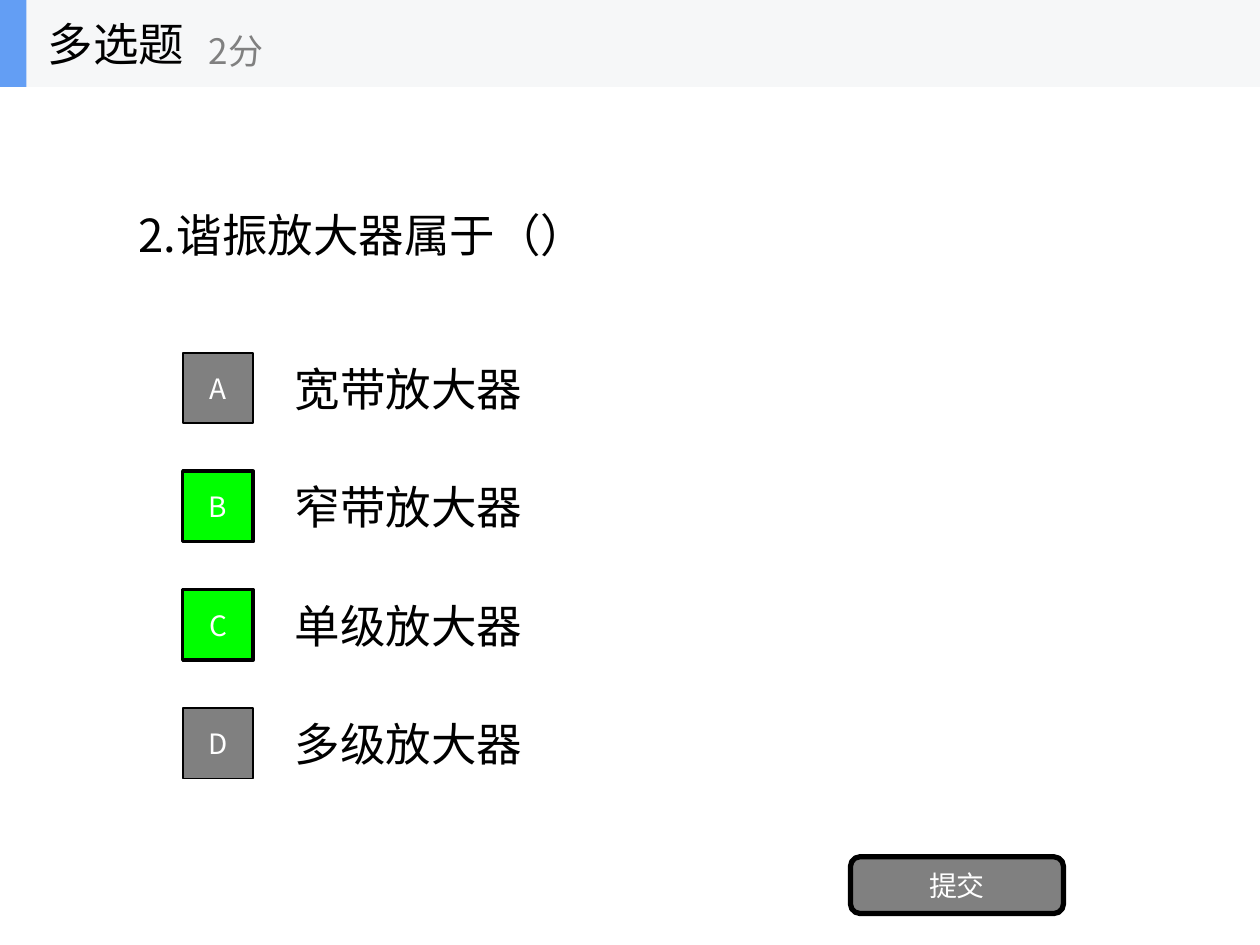
from lxml.etree import SubElement
from pptx import Presentation
from pptx.dml.color import RGBColor
from pptx.enum.shapes import MSO_SHAPE
from pptx.enum.text import MSO_ANCHOR, MSO_AUTO_SIZE, PP_ALIGN
from pptx.oxml.ns import qn
from pptx.util import Inches, Pt

THEME = {
    "font": "Noto Sans CJK SC",
    "black": RGBColor.from_string("000000"),
    "white": RGBColor.from_string("FFFFFF"),
    "gray": RGBColor.from_string("808080"),
    "correct": RGBColor.from_string("00FF00"),
    "bar": RGBColor.from_string("F6F7F8"),
    "accent": RGBColor.from_string("639EF4"),
    "body": Pt(26),
    "score": Pt(20),
    "button": Pt(16),
}


def write(shape, text, size, color, alignment=PP_ALIGN.LEFT):
    """Put one vertically centred line of text in a shape."""
    frame = shape.text_frame
    frame.word_wrap = True
    frame.auto_size = MSO_AUTO_SIZE.NONE
    frame.vertical_anchor = MSO_ANCHOR.MIDDLE
    paragraph = frame.paragraphs[0]
    paragraph.alignment = alignment
    run = paragraph.add_run()
    run.text = text
    run.font.size = THEME[size]
    run.font.color.rgb = THEME[color]
    run.font.name = THEME["font"]
    SubElement(run.font._element, qn("a:ea"), typeface=THEME["font"])


def add_block(shapes, kind, box, fill, line_width=0):
    """Add a filled shape, outlined in black if a line width is given."""
    shape = shapes.add_shape(kind, *map(Inches, box))
    shape.shadow.inherit = False
    shape.fill.solid()
    shape.fill.fore_color.rgb = THEME[fill]
    if line_width:
        shape.line.color.rgb = THEME["black"]
        shape.line.width = Pt(line_width)
    else:
        shape.line.fill.background()
    return shape


WIDTH, HEIGHT = 10, 7.5
presentation = Presentation()
presentation.slide_width, presentation.slide_height = Inches(WIDTH), Inches(HEIGHT)
slide = presentation.slides.add_slide(presentation.slide_layouts[5])

# Question
HEADER_HEIGHT = 0.69
question = slide.shapes.title
question.left, question.top = Inches(WIDTH * 0.1), Inches(HEADER_HEIGHT)
question.width, question.height = Inches(WIDTH * 0.8), Inches(2.34)
write(question, "2.谐振放大器属于（）", "body", "black")

# Answer options: a letter button and its text on each row
OPTIONS = [
    ("A", "宽带放大器", False),
    ("B", "窄带放大器", True),
    ("C", "单级放大器", True),
    ("D", "多级放大器", False),
]
FIRST_ROW, ROW_PITCH, ROW_HEIGHT = 2.73, 0.94, 0.7
BUTTON_LEFT, BUTTON_SIZE, LABEL_LEFT = 1.45, 0.56, 2.24
for row, (letter, answer, correct) in enumerate(OPTIONS):
    top = FIRST_ROW + row * ROW_PITCH
    label = slide.shapes.add_textbox(
        Inches(LABEL_LEFT), Inches(top), Inches(WIDTH * 0.7), Inches(ROW_HEIGHT)
    )
    write(label, answer, "body", "black")
    button_top = top + (ROW_HEIGHT - BUTTON_SIZE) / 2
    button = add_block(
        slide.shapes,
        MSO_SHAPE.RECTANGLE,
        (BUTTON_LEFT, button_top, BUTTON_SIZE, BUTTON_SIZE),
        "correct" if correct else "gray",
        2 if correct else 1,
    )
    write(button, letter, "button", "white", PP_ALIGN.CENTER)

# Submit button
submit = add_block(
    slide.shapes, MSO_SHAPE.ROUNDED_RECTANGLE, (6.75, 6.8, 1.69, 0.45), "gray", 3
)
write(submit, "提交", "button", "white", PP_ALIGN.CENTER)

# Header: bar, accent, question type and score
header = slide.shapes.add_group_shape().shapes
for width, fill in ((WIDTH, "bar"), (0.21, "accent")):
    add_block(header, MSO_SHAPE.RECTANGLE, (0, 0, width, HEADER_HEIGHT), fill)
for text, size, color, box in (
    ("多选题", "body", "black", (0.28, 0, 2.08, HEADER_HEIGHT)),
    ("2分", "score", "gray", (1.56, 0.12, 2.5, 0.56)),
):
    write(header.add_textbox(*map(Inches, box)), text, size, color)

presentation.save("out.pptx")
